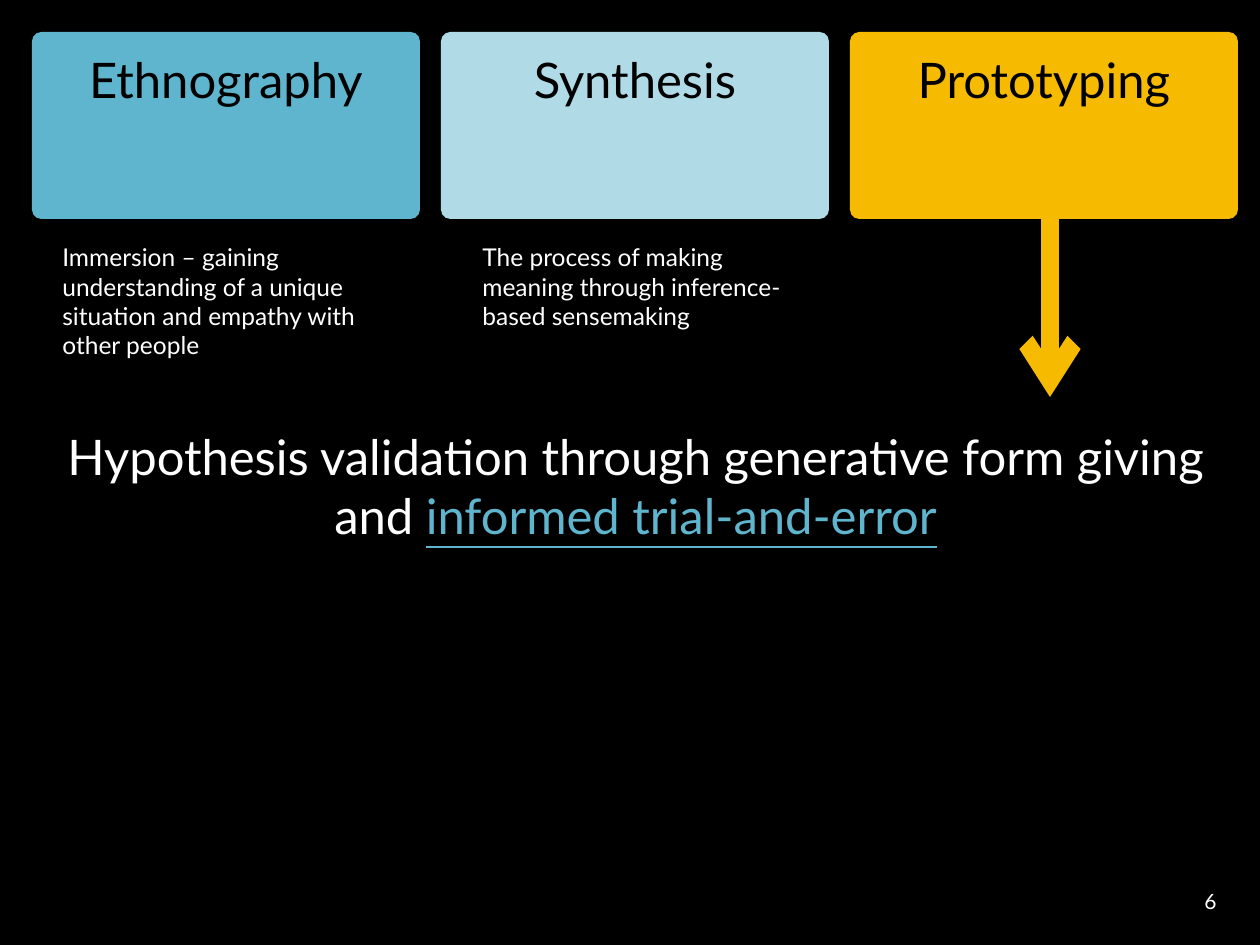
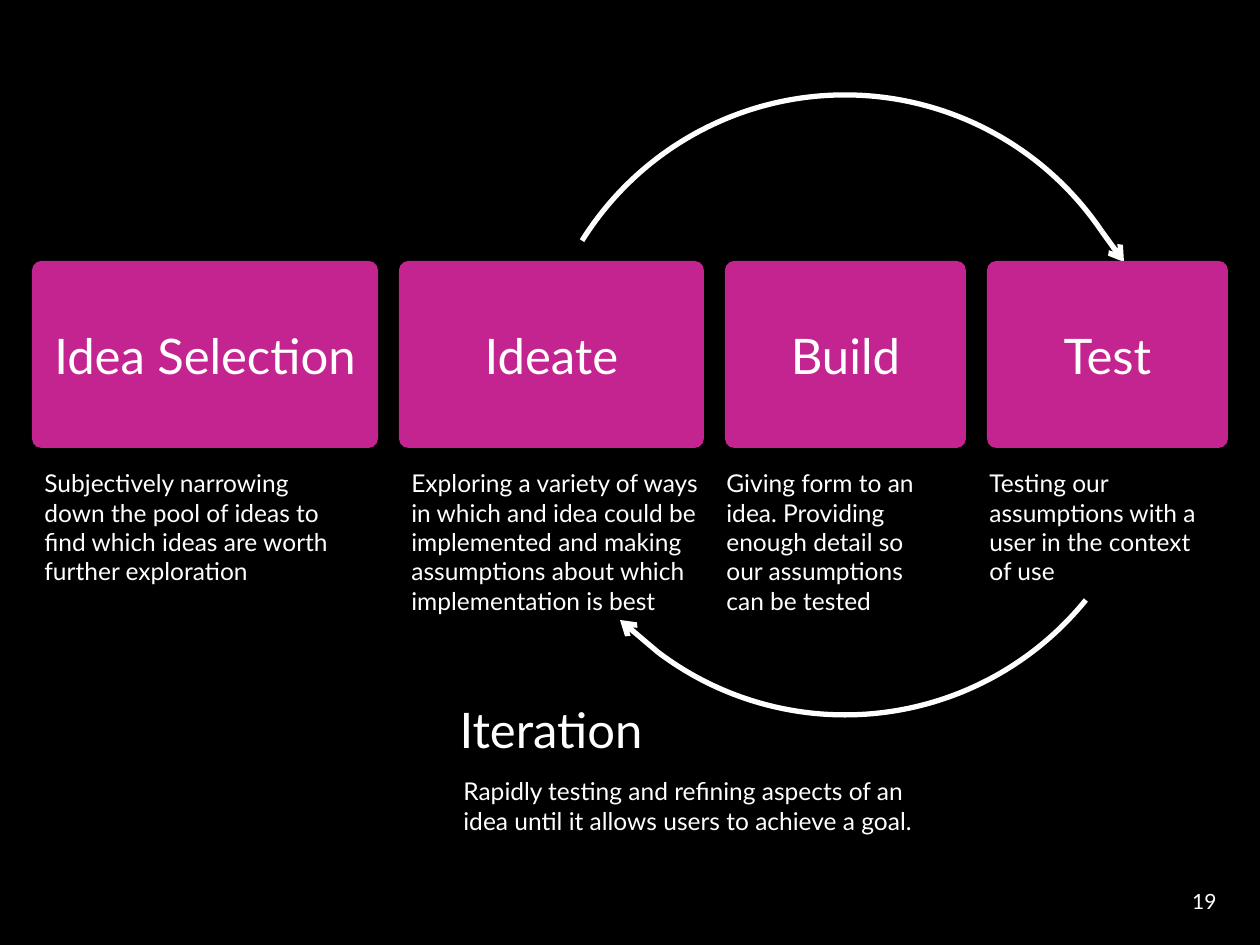
from math import cos, radians, sin
from pptx import Presentation
from pptx.dml.color import RGBColor
from pptx.enum.shapes import MSO_CONNECTOR, MSO_SHAPE
from pptx.enum.text import MSO_ANCHOR, MSO_AUTO_SIZE, PP_ALIGN
from pptx.oxml.ns import qn
from pptx.util import Pt
from lxml.etree import SubElement

SCALE = 914400 / 126
FONT = "Lato"
LARGE, SMALL, TINY = 28, 14, 12
EDGE, GAP, CARD_H = 32, 21, 187
HEX = {
    "black": "000000",
    "white": "FFFFFF",
    "teal": "5FB5CD",
    "pale": "B0DAE6",
    "gold": "F6BB00",
    "pink": "C4248F",
}


def emu(px):
    """Turn px into EMU."""
    return round(px * SCALE)


def paint(fill, name):
    """Fill with a named colour."""
    fill.solid()
    fill.fore_color.rgb = RGBColor.from_string(HEX[name])


def write(frame, runs, size, color="white", align=PP_ALIGN.LEFT,
          anchor=MSO_ANCHOR.TOP):
    """Write runs of (text, link colour or None) as one paragraph."""
    frame.word_wrap = True
    frame.auto_size = MSO_AUTO_SIZE.NONE
    frame.vertical_anchor = anchor
    para = frame.paragraphs[0]
    para.alignment = align
    for text, accent in runs:
        run = para.add_run()
        run.text = text
        run.font.name = FONT
        run.font.size = Pt(size)
        paint(run.font.fill, accent or color)
        if accent:
            run.font.underline = True


def add_note(slide, box, text, size=SMALL, **look):
    """Add a wrapped text box."""
    note = slide.shapes.add_textbox(*map(emu, box))
    write(note.text_frame, [(text, None)], size, **look)


def set_title(slide, box, runs):
    """Place and fill the title placeholder."""
    title = slide.shapes.title
    title.left, title.top, title.width, title.height = map(emu, box)
    write(title.text_frame, runs, LARGE, align=PP_ALIGN.CENTER)


def add_card(slide, box, text, fill, color, anchor):
    """Add a rounded card with its heading."""
    card = slide.shapes.add_shape(MSO_SHAPE.ROUNDED_RECTANGLE, *map(emu, box))
    card.adjustments[0] = 0.05
    card.shadow.inherit = False
    paint(card.fill, fill)
    card.line.fill.background()
    frame = card.text_frame
    frame.margin_left = frame.margin_right = 0
    frame.margin_top = frame.margin_bottom = emu(15)
    write(frame, [(text, None)], LARGE, color, PP_ALIGN.CENTER, anchor)


def add_row(slide, top, cards, color, anchor):
    """Lay cards of (text, width, fill) in a row with equal gaps."""
    left = EDGE
    for text, width, fill in cards:
        add_card(slide, (left, top, width, CARD_H), text, fill, color, anchor)
        left += width + GAP


def add_arrow(slide, start, end, color, weight):
    """Add a straight arrow."""
    arrow = slide.shapes.add_connector(
        MSO_CONNECTOR.STRAIGHT, *map(emu, (*start, *end)))
    paint(arrow.line.fill, color)
    arrow.line.width = Pt(weight)
    SubElement(arrow.line._get_or_add_ln(), qn("a:tailEnd"), type="arrow")
    SubElement(arrow._element.spPr, qn("a:effectLst"))


def add_loop(slide, center, radius, first, last, tip):
    """Add a clockwise arc in degrees that ends in an arrow to tip."""
    mid_x, mid_y = center
    box = mid_x - radius, mid_y - radius, 2 * radius, 2 * radius
    arc = slide.shapes.add_shape(MSO_SHAPE.ARC, *map(emu, box))
    arc.adjustments[0] = first * 0.6
    arc.adjustments[1] = last * 0.6
    arc.shadow.inherit = False
    arc.fill.background()
    paint(arc.line.fill, "white")
    arc.line.width = Pt(3)
    turn = radians(last)
    start = mid_x + radius * cos(turn), mid_y + radius * sin(turn)
    add_arrow(slide, start, tip, "white", 3)


def add_page(deck, number):
    """Add a slide with its page number."""
    slide = deck.slides.add_slide(deck.slide_layouts.get_by_name("Title Only"))
    add_note(slide, (935, 876, 294, 50), number, TINY,
             align=PP_ALIGN.RIGHT, anchor=MSO_ANCHOR.MIDDLE)
    return slide


def show_phases(deck):
    """Build the slide on the three phases."""
    slide = add_page(deck, "6")
    add_note(slide, (50, 236, 338, 131),
             "Immersion – gaining understanding of a unique situation "
             "and empathy with other people")
    add_note(slide, (470, 236, 338, 102),
             "The process of making meaning through inference-based sensemaking")
    add_arrow(slide, (1050, 217), (1050, 397), "gold", 10)
    set_title(slide, (32, 420, 1207, 131), [
        ("Hypothesis validation through generative form giving and ", None),
        ("informed trial-and-error", "teal"),
    ])
    cards = [("Ethnography", 388, "teal"), ("Synthesis", 388, "pale"),
             ("Prototyping", 388, "gold")]
    add_row(slide, EDGE, cards, "black", MSO_ANCHOR.TOP)


def show_steps(deck):
    """Build the slide on the iteration steps."""
    slide = add_page(deck, "19")
    center = 845, 405
    add_loop(slide, center, 310, 212, 326, (1124, 262))
    add_loop(slide, center, 310, 39, 127, (620, 620))
    cards = [("Idea Selection", 346, "pink"), ("Ideate", 305, "pink"),
             ("Build", 241, "pink"), ("Test", 241, "pink")]
    add_row(slide, 261, cards, "white", MSO_ANCHOR.MIDDLE)
    notes = [
        (32, 336, "Subjectively narrowing down the pool of ideas to find "
                  "which ideas are worth further exploration"),
        (399, 325, "Exploring a variety of ways in which and idea could be "
                   "implemented and making assumptions about which "
                   "implementation is best"),
        (714, 236, "Giving form to an idea. Providing enough detail so "
                   "our assumptions can be tested"),
        (977, 236, "Testing our assumptions with a user in the context of use"),
    ]
    for left, width, text in notes:
        add_note(slide, (left, 462, width, 161), text)
    set_title(slide, (357, 693, 388, 72), [("Iteration", None)])
    add_note(slide, (451, 770, 494, 72),
             "Rapidly testing and refining aspects of an idea until it "
             "allows users to achieve a goal.")


def main():
    """Build and save the deck."""
    deck = Presentation()
    deck.slide_width, deck.slide_height = emu(1260), emu(945)
    paint(deck.slide_master.background.fill, "black")
    show_phases(deck)
    show_steps(deck)
    deck.save("out.pptx")


if __name__ == "__main__":
    main()
